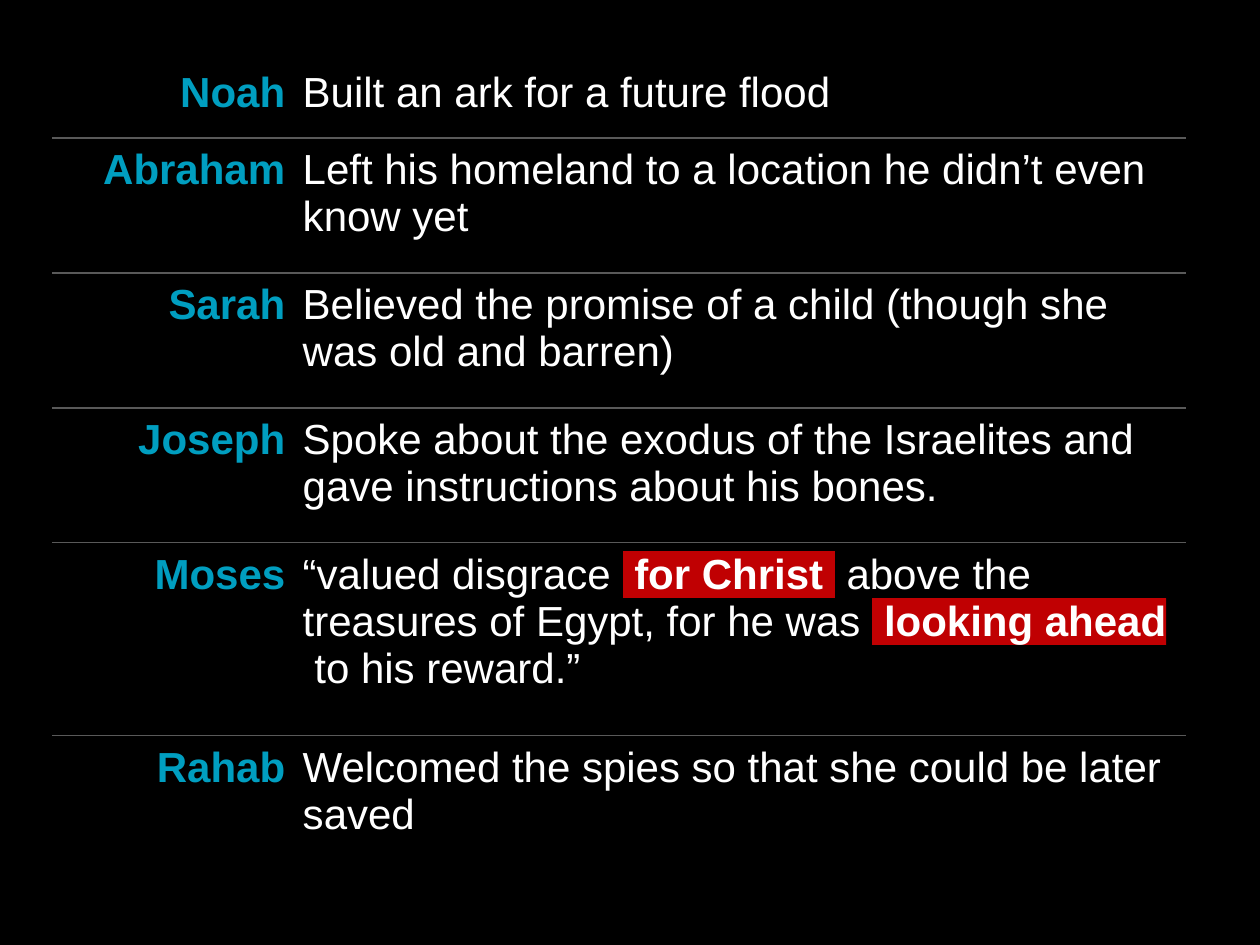
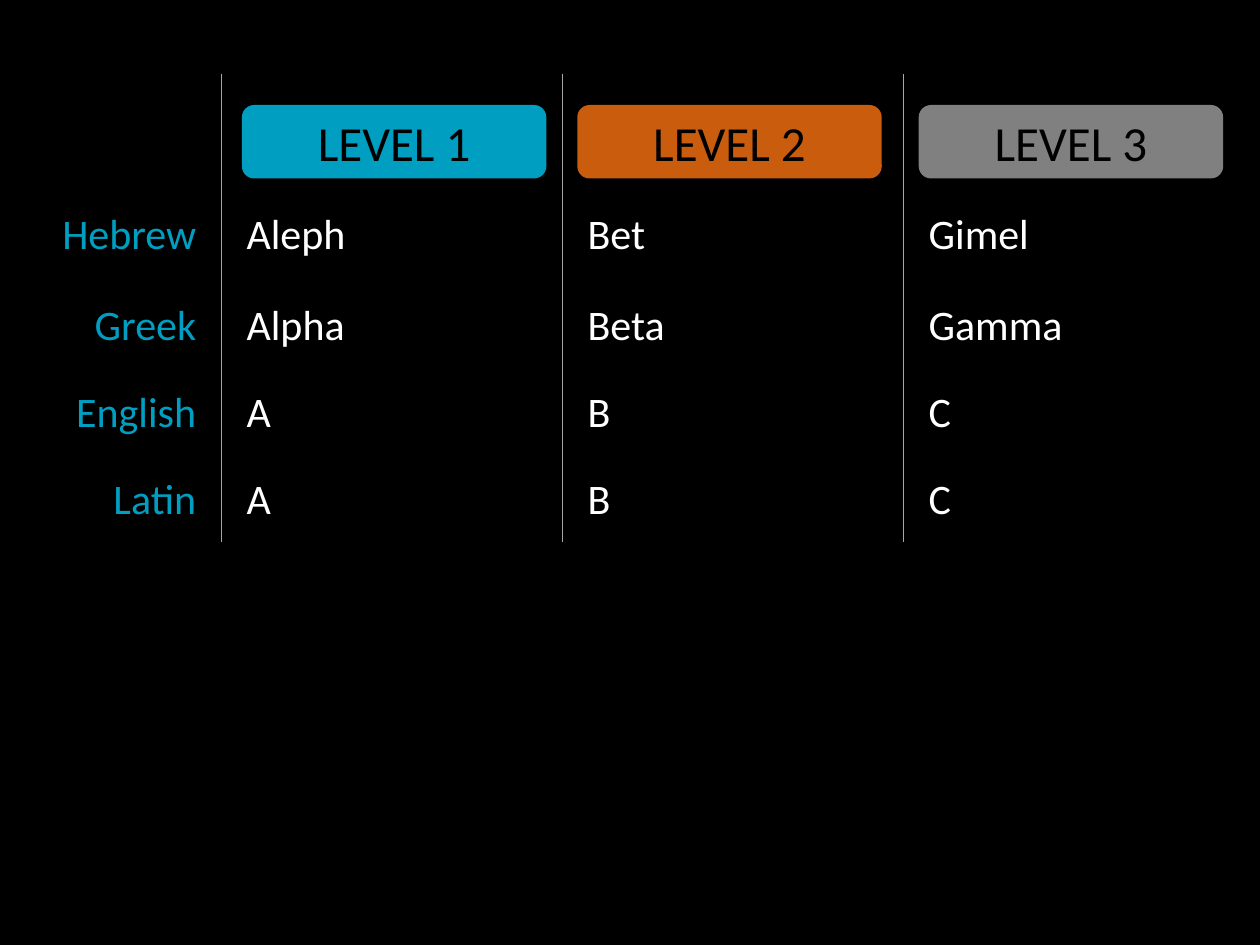
from lxml import etree
from pptx import Presentation
from pptx.dml.color import RGBColor
from pptx.enum.shapes import MSO_SHAPE
from pptx.enum.text import MSO_ANCHOR, PP_ALIGN
from pptx.oxml.ns import qn
from pptx.util import Pt

# Shared colours, fonts and table style
BLACK = RGBColor(0x00, 0x00, 0x00)
WHITE = RGBColor(0xFF, 0xFF, 0xFF)
TEAL = RGBColor(0x00, 0x9E, 0xC0)
ORANGE = RGBColor(0xCA, 0x5C, 0x0E)
GREY = RGBColor(0x80, 0x80, 0x80)
DARK_RULE = RGBColor(0x59, 0x59, 0x59)
LIGHT_RULE = RGBColor(0xA6, 0xA6, 0xA6)
RED = RGBColor(0xC0, 0x00, 0x02)
NO_STYLE = "{2D5ABB26-0587-4C30-8999-92F81FD0307C}"

# Plain text, or a list of (text, run format) pairs
HEROES = [
    ("Noah", "Built an ark for a future flood"),
    ("Abraham", "Left his homeland to a location he didn’t even know yet"),
    ("Sarah", "Believed the promise of a child (though she was old and barren)"),
    ("Joseph", "Spoke about the exodus of the Israelites and gave instructions "
               "about his bones."),
    ("Moses", [
        ("“valued disgrace ", {}),
        (" ", {"highlight": RED}),
        ("for Christ ", {"highlight": RED, "bold": True}),
        (" above the treasures of Egypt, for he was ", {}),
        (" ", {"highlight": RED}),
        ("looking ahead", {"highlight": RED, "bold": True}),
        (" ", {"highlight": RED}),
        (" to his reward.”", {}),
    ]),
    ("Rahab", "Welcomed the spies so that she could be later saved"),
]
ALPHABETS = [
    ("Hebrew", "Aleph", "Bet", "Gimel"),
    ("Greek", "Alpha", "Beta", "Gamma"),
    ("English", "A", "B", "C"),
    ("Latin", "A", "B", "C"),
]
LEVELS = [("LEVEL 1", 138.24, TEAL), ("LEVEL 2", 329.9, ORANGE),
          ("LEVEL 3", 525, GREY)]


def add_solid_colour(parent, tag, color):
    """Append a DrawingML element that holds one RGB colour."""
    element = etree.SubElement(parent, qn(tag))
    etree.SubElement(element, qn("a:srgbClr"), val=str(color))
    return element


def add_run(paragraph, text, font, size, color, bold=False, highlight=None):
    run = paragraph.add_run()
    run.text = text
    run.font.name = font
    run.font.size = Pt(size)
    run.font.bold = bold
    run.font.color.rgb = color
    if highlight is not None:
        properties = run.font._element
        marker = add_solid_colour(properties, "a:highlight", highlight)
        properties.find(qn("a:solidFill")).addnext(marker)


def write_text(text_frame, text, align=PP_ALIGN.LEFT, **run_format):
    paragraph = text_frame.paragraphs[0]
    paragraph.alignment = align
    runs = [(text, {})] if isinstance(text, str) else text
    for run_text, changes in runs:
        add_run(paragraph, run_text, **{**run_format, **changes})


def set_borders(cell, sides, color, width):
    """Rule the given sides (letters of "LRTB") and clear the others."""
    properties = cell._tc.get_or_add_tcPr()
    for side in "LRTB":
        line = etree.SubElement(properties, qn(f"a:ln{side}"))
        if side in sides:
            line.set("w", str(Pt(width)))
            add_solid_colour(line, "a:solidFill", color)
        else:
            etree.SubElement(line, qn("a:noFill"))


def add_plain_table(slide, left, top, widths, heights):
    frame = slide.shapes.add_table(len(heights), len(widths), Pt(left), Pt(top),
                                   Pt(sum(widths)), Pt(sum(heights)))
    table = frame.table
    table.first_row = table.horz_banding = False
    table._tbl.tblPr.find(qn("a:tableStyleId")).text = NO_STYLE
    for column, width in zip(table.columns, widths):
        column.width = Pt(width)
    for row, height in zip(table.rows, heights):
        row.height = Pt(height)
    return table


def format_cell(cell, sides, color, width, side_margin, anchor):
    set_borders(cell, sides, color, width)
    cell.fill.background()
    cell.margin_left = cell.margin_right = Pt(side_margin)
    cell.margin_top = cell.margin_bottom = Pt(5.04)
    cell.vertical_anchor = anchor


def add_black_slide(presentation):
    slide = presentation.slides.add_slide(presentation.slide_layouts[6])
    slide.background.fill.solid()
    slide.background.fill.fore_color.rgb = BLACK
    return slide


def add_level_badge(slide, label, left, color):
    shape = slide.shapes.add_shape(MSO_SHAPE.ROUNDED_RECTANGLE,
                                   Pt(left), Pt(60), Pt(174), Pt(42))
    shape.shadow.inherit = False
    shape.fill.solid()
    shape.fill.fore_color.rgb = color
    shape.line.fill.background()
    shape.text_frame.vertical_anchor = MSO_ANCHOR.MIDDLE
    write_text(shape.text_frame, label, align=PP_ALIGN.CENTER,
               font="Calibri", size=28, color=BLACK)


def build_heroes_slide(presentation):
    slide = add_black_slide(presentation)
    heights = [44.4, 77.1, 77.1, 77.1, 110.3, 77.1]
    table = add_plain_table(slide, 30, 34.5, [138, 510], heights)
    last = len(HEROES) - 1
    for row, (name, deed) in enumerate(HEROES):
        # Rules run between rows only
        sides = ("T" if row > 0 else "") + ("B" if row < last else "")
        for column in range(2):
            format_cell(table.cell(row, column), sides, DARK_RULE, 1, 5.04,
                        MSO_ANCHOR.TOP)
        write_text(table.cell(row, 0).text_frame, name, align=PP_ALIGN.RIGHT,
                   font="Arial", size=24, color=TEAL, bold=True)
        write_text(table.cell(row, 1).text_frame, deed,
                   font="Arial", size=24, color=WHITE)


def build_alphabets_slide(presentation):
    slide = add_black_slide(presentation)
    table = add_plain_table(slide, 9, 42, [117.5] + [194.9] * 3,
                            [64.8, 54.7, 49.7, 50.4, 48.2])
    # The top row stays empty beneath the badges
    for row, texts in enumerate([("",) * 4] + ALPHABETS):
        for column, text in enumerate(texts):
            cell = table.cell(row, column)
            # Rules run between columns only
            sides = ("L" if column > 0 else "") + ("R" if column < 3 else "")
            format_cell(cell, sides, LIGHT_RULE, 0.25, 14.4, MSO_ANCHOR.MIDDLE)
            if text:
                heading = column == 0
                write_text(cell.text_frame, text,
                           align=PP_ALIGN.RIGHT if heading else PP_ALIGN.LEFT,
                           font="Calibri", size=24,
                           color=TEAL if heading else WHITE)
    for label, left, color in LEVELS:
        add_level_badge(slide, label, left, color)


def main():
    presentation = Presentation()
    presentation.slide_width = Pt(720)
    presentation.slide_height = Pt(540)
    build_heroes_slide(presentation)
    build_alphabets_slide(presentation)
    presentation.save("out.pptx")


if __name__ == "__main__":
    main()
